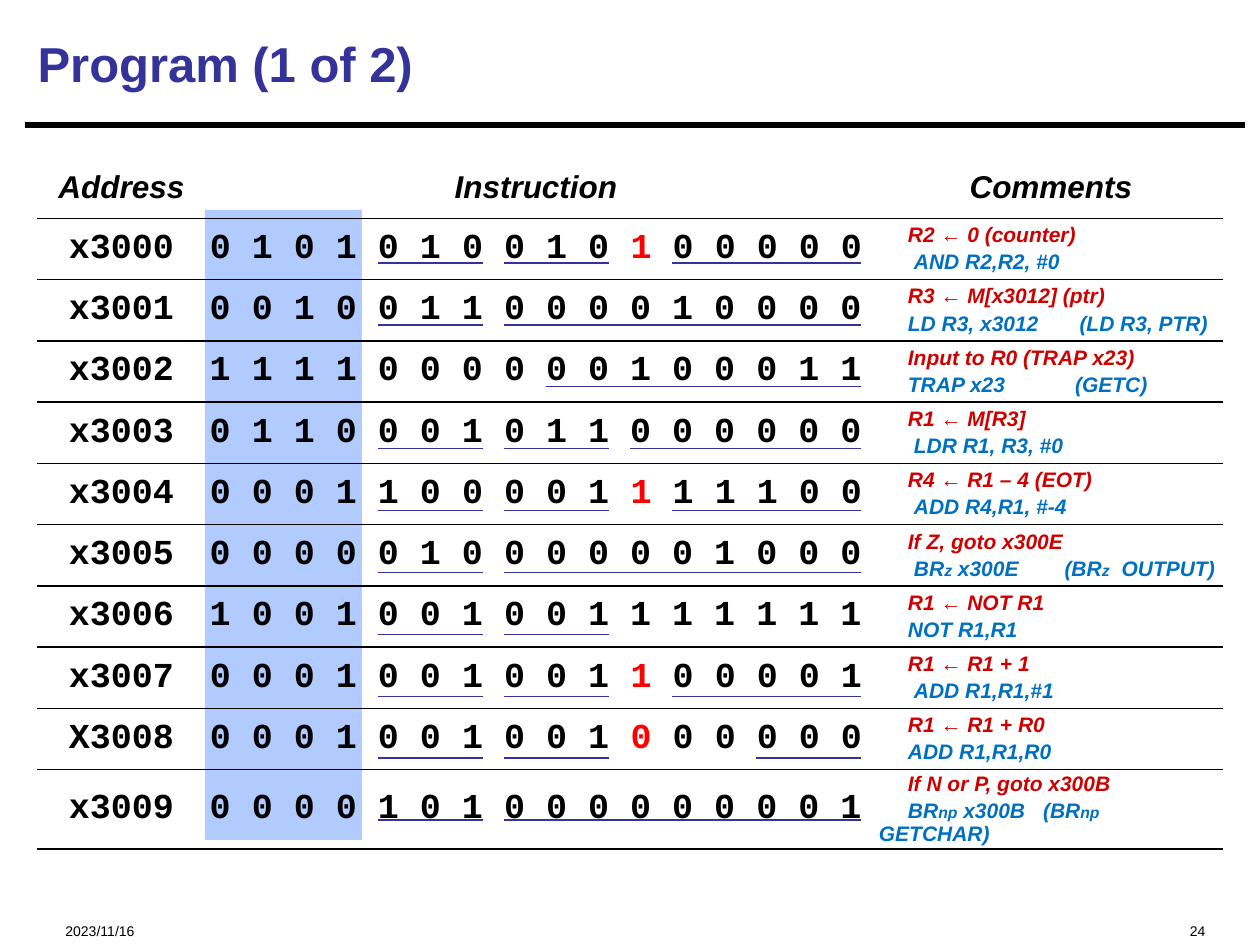
from dataclasses import dataclass
from typing import NamedTuple

from lxml.etree import SubElement
from pptx import Presentation
from pptx.dml.color import RGBColor as RGB
from pptx.enum.shapes import MSO_CONNECTOR as Connector, MSO_SHAPE as Shape
from pptx.enum.text import MSO_ANCHOR as Anchor, MSO_AUTO_SIZE as AutoSize, PP_ALIGN as Align
from pptx.oxml import parse_xml
from pptx.oxml.ns import nsdecls, qn
from pptx.util import Emu, Pt

SCALE = 914400 // 126  # EMU in one px
NO_TABLE_STYLE = "{2D5ABB26-0587-4C30-8999-92F81FD0307C}"


def px(length):
    return Emu(round(length * SCALE))


@dataclass(frozen=True)
class Theme:
    sans: str = "Arial"
    mono: str = "Courier New"
    ink: RGB = RGB(0x00, 0x00, 0x00)
    title: RGB = RGB(0x33, 0x33, 0x99)
    mode_bit: RGB = RGB(0xFF, 0x00, 0x00)
    meaning: RGB = RGB(0xCE, 0x00, 0x00)
    assembly: RGB = RGB(0x00, 0x70, 0xC0)
    opcode: RGB = RGB(0x66, 0x99, 0xFF)
    title_size: int = 28
    head_size: int = 18
    code_size: int = 20
    comment_size: int = 12
    small_size: int = 9
    footer_size: int = 8


THEME = Theme()


class Box(NamedTuple):
    left: int
    top: int
    width: int
    height: int

    def emu(self):
        return [px(side) for side in self]


class Step(NamedTuple):
    address: str
    bits: str
    fields: list  # underlined fields: (first bit, bit count)
    meaning: str
    assembly: str  # parts between bars: small, wide space (_) or new line
    indent: int = 29
    gaps: tuple = ()  # extra width of each wide space, in px
    mode_bit: bool = False


REGISTERS = [(4, 3), (7, 3)]
IMMEDIATE = REGISTERS + [(11, 5)]
OFFSET9 = [(4, 3), (7, 9)]
PROGRAM = [
    Step("x3000", "0101010010100000", IMMEDIATE, "R2 ← 0 (counter)",
         "AND R2,R2, #0", 35, mode_bit=True),
    Step("x3001", "0010011000010000", OFFSET9, "R3 ← M[x3012] (ptr)",
         "LD R3, x3012|_|(LD R3, PTR)", gaps=(35,)),
    Step("x3002", "1111000000100011", [(8, 8)], "Input to R0 (TRAP x23)",
         "TRAP x23|_|(GETC)", gaps=(64,)),
    Step("x3003", "0110001011000000", REGISTERS + [(10, 6)], "R1 ← M[R3]",
         "LDR R1, R3, #0", 35),
    Step("x3004", "0001100001111100", IMMEDIATE, "R4 ← R1 – 4 (EOT)",
         "ADD R4,R1, #-4", 35, mode_bit=True),
    Step("x3005", "0000010000001000", OFFSET9, "If Z, goto x300E",
         "BR|z| x300E|_|(BR|z|_|OUTPUT)", 35, (40, 6)),
    Step("x3006", "1001001001111111", REGISTERS, "R1 ← NOT R1", "NOT R1,R1"),
    Step("x3007", "0001001001100001", IMMEDIATE, "R1 ← R1 + 1",
         "ADD R1,R1,#1", 35, mode_bit=True),
    Step("X3008", "0001001001000000", REGISTERS + [(13, 3)], "R1 ← R1 + R0",
         "ADD R1,R1,R0", mode_bit=True),
    Step("x3009", "0000101000000001", OFFSET9, "If N or P, goto x300B",
         "BR|np| x300B|_|(BR|np|\n|GETCHAR)", gaps=(12,)),
]


def add_run(paragraph, text, size, color=THEME.ink, face=THEME.sans, bold=True, italic=False):
    run = paragraph.add_run()
    run.text = text
    font = run.font
    font.name, font.size, font.bold, font.italic = face, Pt(size), bold, italic
    font.color.rgb = color
    return run


def add_line(slide, x1, x2, y, color, weight):
    line = slide.shapes.add_connector(Connector.STRAIGHT, px(x1), px(y), px(x2), px(y))
    line.line.color.rgb = color
    line.line.width = Pt(weight)
    SubElement(line._element.spPr, qn("a:effectLst"))


def add_title(slide, box, text):
    title = slide.shapes.title
    title.left, title.top, title.width, title.height = box.emu()
    frame = title.text_frame
    frame.auto_size = AutoSize.NONE
    frame.vertical_anchor = Anchor.MIDDLE
    frame.paragraphs[0].alignment = Align.LEFT
    add_run(frame.paragraphs[0], text, THEME.title_size, THEME.title)
    # Heavy rule below the title
    add_line(slide, box.left, box.left + box.width + 2, box.top + box.height + 9, THEME.ink, 3.75)


def add_footer(slide, box, text, align):
    frame = slide.shapes.add_textbox(*box.emu()).text_frame
    frame.word_wrap = True
    frame.vertical_anchor = Anchor.BOTTOM
    frame.margin_top = frame.margin_bottom = 0
    frame.paragraphs[0].alignment = align
    add_run(frame.paragraphs[0], text, THEME.footer_size, bold=False)


def add_opcode_band(slide, box):
    band = slide.shapes.add_shape(Shape.RECTANGLE, *box.emu())
    band.shadow.inherit = False
    band.fill.solid()
    band.fill.fore_color.rgb = THEME.opcode
    band.line.fill.background()
    color = band._element.spPr.find(qn("a:solidFill"))[0]
    SubElement(color, qn("a:alpha"), val="50000")


def format_cell(cell, margin):
    cell.fill.background()
    cell.vertical_anchor = Anchor.MIDDLE
    cell.margin_left, cell.margin_right = px(13), 0
    cell.margin_top = cell.margin_bottom = px(margin)
    cell._tc.get_or_add_tcPr().insert(0, parse_xml(
        f'<a:lnB {nsdecls("a")} w="12700"><a:solidFill>'
        f'<a:srgbClr val="{THEME.ink}"/></a:solidFill></a:lnB>'))


def centred(cell):
    paragraph = cell.text_frame.paragraphs[0]
    paragraph.alignment = Align.CENTER
    return paragraph


def fill_instruction(cell, step):
    paragraph = centred(cell)
    spaced = " ".join(step.bits)
    mode = 20 if step.mode_bit else len(spaced)  # bit 10 sits at character 20
    parts = [(spaced[:mode], THEME.ink), (spaced[mode:mode + 1], THEME.mode_bit),
             (spaced[mode + 1:], THEME.ink)]
    for text, color in parts:
        if text:
            add_run(paragraph, text, THEME.code_size, color, THEME.mono)


def fill_comment(cell, step):
    meaning = cell.text_frame.paragraphs[0]
    assembly = cell.text_frame.add_paragraph()
    meaning._p.get_or_add_pPr().set("indent", str(px(29)))
    add_run(meaning, step.meaning, THEME.comment_size, THEME.meaning, italic=True)

    assembly.space_before = Pt(2)
    assembly._p.get_or_add_pPr().set("indent", str(px(step.indent)))
    gaps = iter(step.gaps)
    for part in step.assembly.split("|"):
        if part == "\n":
            assembly.add_line_break()
            continue
        size = THEME.small_size if part in ("z", "np") else THEME.comment_size
        run = add_run(assembly, part.replace("_", " "), size, THEME.assembly, italic=True)
        if part == "_":  # one space, widened by letter spacing
            run.font._element.set("spc", str(round(px(next(gaps)).pt * 100)))


def add_program_table(slide, box):
    rows = len(PROGRAM) + 1
    table = slide.shapes.add_table(rows, 3, *box.emu()).table
    table._tbl.tblPr.find(qn("a:tableStyleId")).text = NO_TABLE_STYLE
    table.first_row = table.horz_banding = False
    for column, width in zip(table.columns, (156, 673, 357)):
        column.width = px(width)
    for row in table.rows:
        row.height = px(box.height / rows)

    # Header row
    for cell, heading in zip(table.rows[0].cells, ("Address", "Instruction", "Comments")):
        format_cell(cell, 10)
        add_run(centred(cell), heading, THEME.head_size, italic=True)

    # One row for each instruction
    for number, step in enumerate(PROGRAM, 1):
        address, instruction, comment = cells = [table.cell(number, c) for c in range(3)]
        for cell in cells:
            format_cell(cell, 0)
        add_run(centred(address), step.address, THEME.code_size, face=THEME.mono)
        fill_instruction(instruction, step)
        fill_comment(comment, step)


def add_field_underlines(slide, box):
    digit = 21  # each bit takes one digit and one space
    pitch = box.height / (len(PROGRAM) - 1)
    for number, step in enumerate(PROGRAM):
        for first, count in step.fields:
            start = box.left + first * 2 * digit
            add_line(slide, start, start + (2 * count - 1) * digit,
                     box.top + number * pitch, THEME.title, 0.75)


def main():
    deck = Presentation()
    deck.slide_width, deck.slide_height = px(1260), px(945)
    slide = deck.slides.add_slide(deck.slide_layouts[5])
    add_title(slide, Box(25, 10, 1218, 106), "Program (1 of 2)")
    add_footer(slide, Box(53, 905, 315, 34), "2023/11/16", Align.LEFT)
    add_footer(slide, Box(840, 905, 378, 34), "24", Align.RIGHT)
    add_opcode_band(slide, Box(205, 210, 157, 630))
    add_program_table(slide, Box(37, 157, 1186, 674))
    add_field_underlines(slide, Box(210, 263, 651, 557))
    deck.save("out.pptx")


if __name__ == "__main__":
    main()
